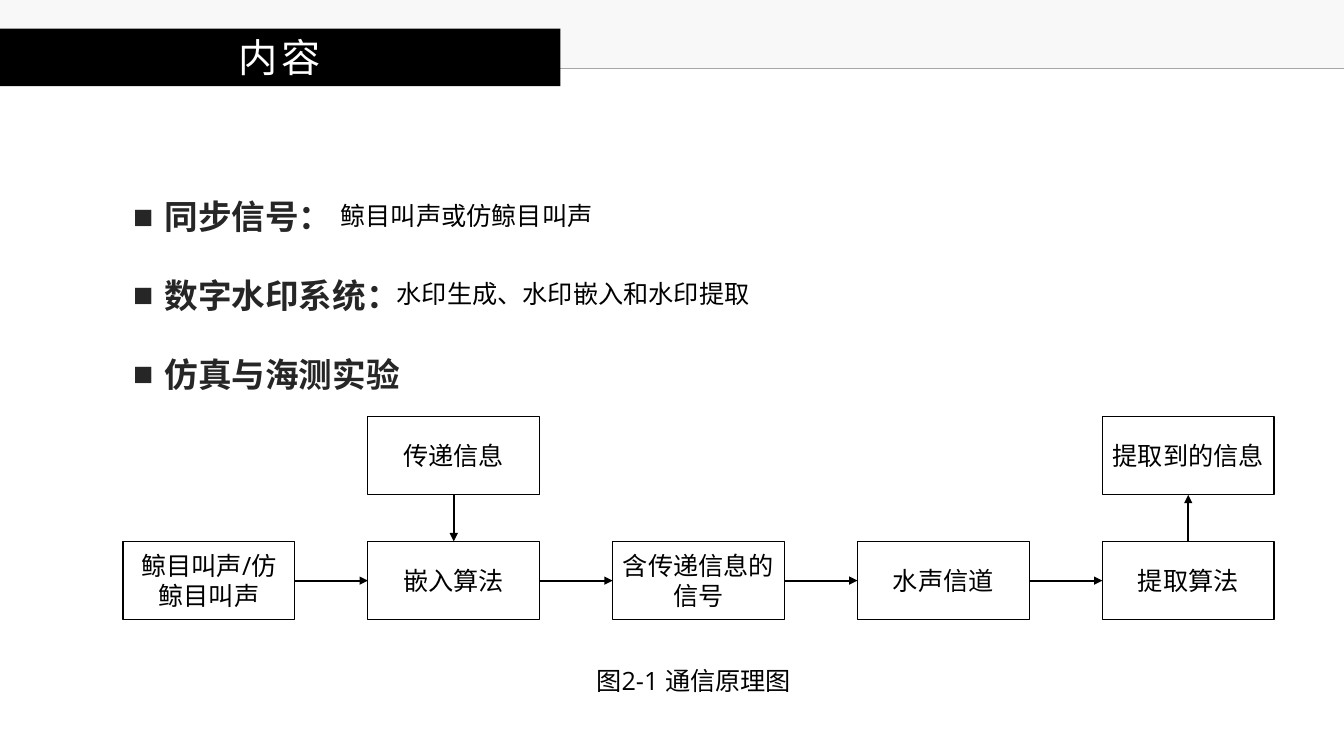
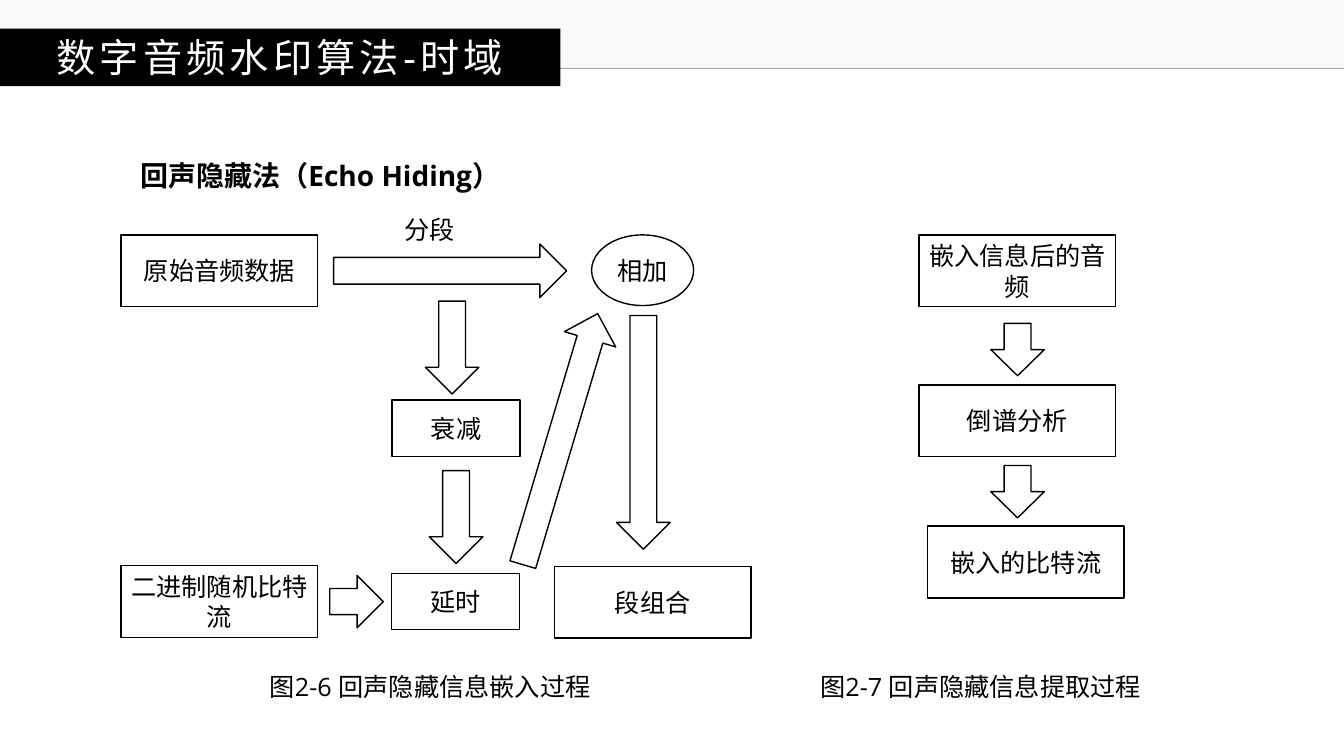
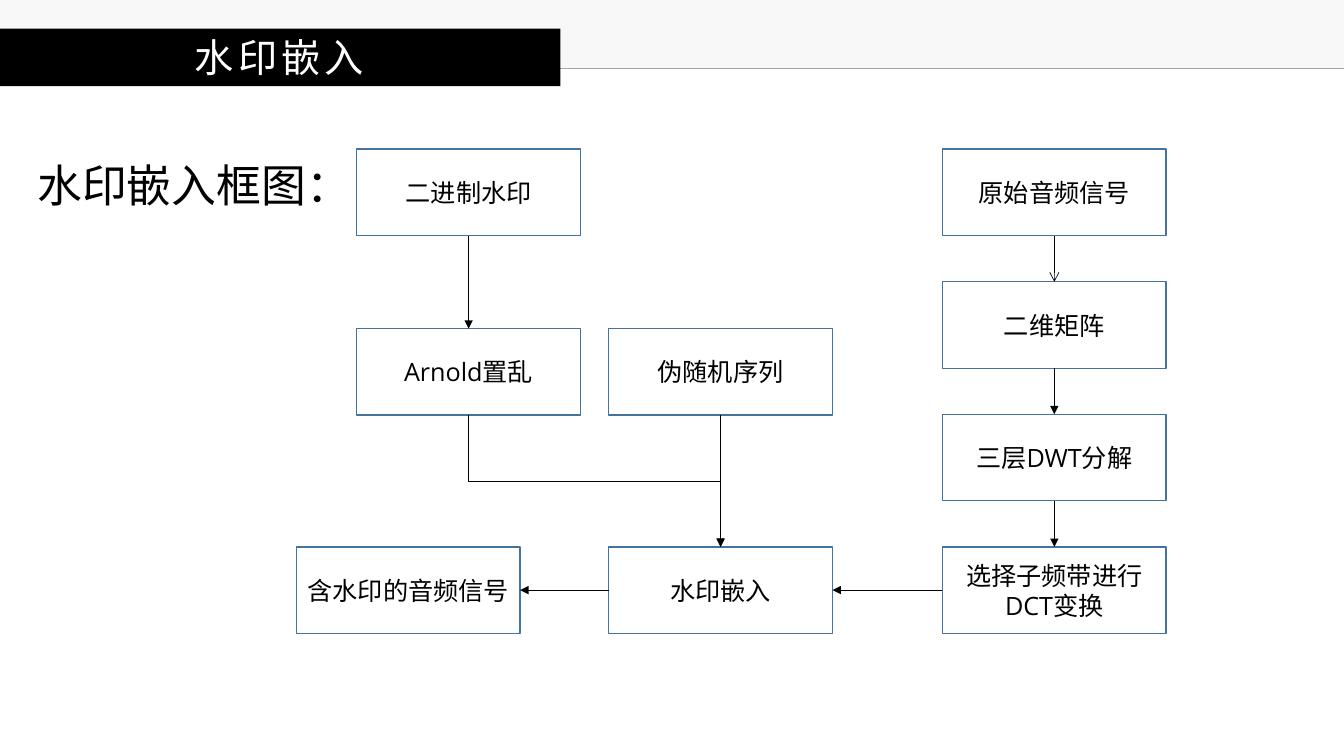
import dataclasses

import lxml.etree
import pptx
import pptx.dml.color
import pptx.enum.shapes
import pptx.enum.text
import pptx.oxml.ns
import pptx.util

Cm = pptx.util.Cm
Pt = pptx.util.Pt
qn = pptx.oxml.ns.qn
SHAPE = pptx.enum.shapes.MSO_SHAPE
CONNECTOR = pptx.enum.shapes.MSO_CONNECTOR
ALIGN = pptx.enum.text.PP_ALIGN
ANCHOR = pptx.enum.text.MSO_ANCHOR

# Connection sites of a rectangle
TOP, LEFT, BOTTOM, RIGHT = range(4)


@dataclasses.dataclass(frozen=True)
class Theme:
    latin: str = "Open Sans"
    east_asian: str = "Noto Sans CJK SC"
    black: str = "000000"
    white: str = "FFFFFF"
    heading: str = "262626"
    band: str = "F2F2F2"
    rule: str = "A6A6A6"
    blue: str = "43739E"
    title_size: int = 28
    lead_size: int = 32
    bullet_size: int = 24
    subtitle_size: int = 20
    text_size: int = 18
    line_height: float = 1.2


THEME = Theme()


def rgb(color):
    return pptx.dml.color.RGBColor.from_string(color)


def write(frame, *paragraphs, size=THEME.text_size, color=THEME.black, bold=False,
          align=ALIGN.LEFT, anchor=ANCHOR.TOP, tracking=0, gap=0, bullet=None):
    """Fill a text frame with paragraphs in one format."""
    frame.word_wrap = True
    frame.auto_size = pptx.enum.text.MSO_AUTO_SIZE.NONE
    frame.vertical_anchor = anchor
    for number, text in enumerate(paragraphs):
        paragraph = frame.add_paragraph() if number else frame.paragraphs[0]
        if bullet:
            properties = paragraph._p.get_or_add_pPr()
            properties.set("marL", str(Cm(0.79)))
            properties.set("indent", str(-Cm(0.79)))
            lxml.etree.SubElement(properties, qn("a:buChar")).set("char", bullet)
        paragraph.alignment = align
        paragraph.line_spacing = Pt(size * THEME.line_height)
        paragraph.space_before = Pt(gap if number else 0)
        run = paragraph.add_run()
        run.text = text
        run.font.size = Pt(size)
        run.font.bold = bold
        run.font.color.rgb = rgb(color)
        run.font.name = THEME.latin
        run_format = run._r.get_or_add_rPr()
        lxml.etree.SubElement(run_format, qn("a:ea")).set("typeface", THEME.east_asian)
        if tracking:
            run_format.set("spc", str(tracking * 100))


class Deck:
    """The presentation, its style and the slide being built."""

    def __init__(self):
        self.presentation = pptx.Presentation()
        self.presentation.slide_width = Cm(33.87)
        self.presentation.slide_height = Cm(19.05)
        self.slide = None

    def start(self, title, layout=5):
        first = self.slide is None
        self.slide = self.presentation.slides.add_slide(
            self.presentation.slide_layouts[layout])
        if first:
            self.add_header_to_master()
        banner = self.slide.shapes.title
        self.place(banner, -0.03, 0.72, 14.15, 1.45)
        banner.fill.solid()
        banner.fill.fore_color.rgb = rgb(THEME.black)
        write(banner.text_frame, title, size=THEME.title_size, color=THEME.white,
              align=ALIGN.CENTER, anchor=ANCHOR.MIDDLE, tracking=3)

    def add_header_to_master(self):
        band = self.box("", 0, 0, 33.87, 1.73, fill=THEME.band, line=None)
        tint = band.element.find(".//" + qn("a:srgbClr"))
        lxml.etree.SubElement(tint, qn("a:alpha")).set("val", "50000")
        rule = self.line(0, 1.73, 33.87, 1.73, color=THEME.rule, width=0.5)
        master_tree = self.presentation.slide_master.shapes.element
        for number, part in enumerate((band, rule)):
            part.element.find(".//" + qn("p:cNvPr")).set("id", str(101 + number))
            master_tree.insert(2 + number, part.element)

    @staticmethod
    def place(shape, left, top, width, height):
        shape.left, shape.top = Cm(left), Cm(top)
        shape.width, shape.height = Cm(width), Cm(height)

    def bullets(self, items, left, top, width, height, **style):
        body = self.slide.placeholders[1]
        self.place(body, left, top, width, height)
        write(body.text_frame, *items, bullet="■", **style)

    def text(self, text, left, top, width, height, **style):
        label = self.slide.shapes.add_textbox(Cm(left), Cm(top), Cm(width), Cm(height))
        write(label.text_frame, text, **style)

    def box(self, text, left, top, width, height, kind=SHAPE.RECTANGLE,
            fill=THEME.white, line=THEME.black, rotation=0):
        shape = self.slide.shapes.add_shape(
            kind, Cm(left), Cm(top), Cm(width), Cm(height))
        shape.shadow.inherit = False
        shape.rotation = rotation
        shape.fill.solid()
        shape.fill.fore_color.rgb = rgb(fill)
        if line:
            shape.line.color.rgb = rgb(line)
            shape.line.width = Pt(1)
        else:
            shape.line.fill.background()
        if text:
            write(shape.text_frame, text, align=ALIGN.CENTER, anchor=ANCHOR.MIDDLE)
        return shape

    def line(self, x1, y1, x2, y2, kind=CONNECTOR.STRAIGHT, color=THEME.black,
             width=1.5, head=None):
        connector = self.slide.shapes.add_connector(
            kind, Cm(x1), Cm(y1), Cm(x2), Cm(y2))
        connector.line.color.rgb = rgb(color)
        connector.line.width = Pt(width)
        if head:
            outline = connector.line._get_or_add_ln()
            lxml.etree.SubElement(outline, qn("a:tailEnd")).set("type", head)
        lxml.etree.SubElement(connector.element.spPr, qn("a:effectLst"))
        return connector

    def link(self, source, source_side, target, target_side, width=1.5, head="triangle"):
        connector = self.line(0, 0, 1, 1, width=width, head=head)
        connector.begin_connect(source, source_side)
        connector.end_connect(target, target_side)

    def elbow_down(self, x1, y1, x2, y2, width):
        """Leave downwards, cross over, and arrive downwards."""
        middle_x, middle_y = (x1 + x2) / 2, (y1 + y2) / 2
        across, down = (x2 - x1) / 2, (y2 - y1) / 2
        connector = self.line(middle_x + down, middle_y - across,
                              middle_x - down, middle_y + across,
                              kind=CONNECTOR.ELBOW, width=width, head="triangle")
        connector.element.spPr.find(qn("a:xfrm")).set("rot", "16200000")


def build_contents(deck):
    deck.start("内容", layout=1)

    # Topics and their details
    deck.bullets(["同步信号：", "数字水印系统：", "仿真与海测实验"], 3.1, 4.82, 7.42, 5.25,
                 size=THEME.bullet_size, color=THEME.heading, bold=True, gap=27.4)
    deck.text("鲸目叫声或仿鲸目叫声", 8.33, 4.93, 9.98, 1.02)
    deck.text("水印生成、水印嵌入和水印提取", 9.75, 6.88, 9.98, 1.02)

    # Communication chain
    left, pitch, width, height = 3.1, 6.17, 4.33, 1.98
    upper, lower = 10.49, 13.64
    stages = ["鲸目叫声/仿鲸目叫声", "嵌入算法", "含传递信息的信号", "水声信道", "提取算法"]
    chain = [deck.box(stage, left + i * pitch, lower, width, height)
             for i, stage in enumerate(stages)]
    message = deck.box("传递信息", left + pitch, upper, width, height)
    extracted = deck.box("提取到的信息", left + 4 * pitch, upper, width, height)
    for source, target in zip(chain, chain[1:]):
        deck.link(source, RIGHT, target, LEFT)
    deck.link(message, BOTTOM, chain[1], TOP)
    deck.link(chain[-1], TOP, extracted, BOTTOM)
    deck.text("图2-1 通信原理图", 14.78, 16.63, 5.59, 1.02)


def build_echo_hiding(deck):
    deck.start("数字音频水印算法-时域")
    deck.text("回声隐藏法（Echo Hiding）", 3.28, 3.86, 17.15, 1.12,
              size=THEME.subtitle_size, bold=True)

    # Block arrows of both processes
    thick, short, medium = 1.35, 1.32, 2.34
    block_arrows = [
        (SHAPE.RIGHT_ARROW, 8.41, 6.15, 5.87, thick, 0),
        (SHAPE.DOWN_ARROW, 10.72, 7.59, thick, medium, 0),
        (SHAPE.DOWN_ARROW, 10.82, 11.86, thick, medium, 0),
        (SHAPE.RIGHT_ARROW, 8.31, 14.5, thick, short, 0),
        (SHAPE.RIGHT_ARROW, 10.82, 10.39, 6.6, thick, 286.6),
        (SHAPE.DOWN_ARROW, 15.54, 7.95, thick, 5.89, 0),
        (SHAPE.DOWN_ARROW, 24.97, 8.15, thick, short, 0),
        (SHAPE.DOWN_ARROW, 24.97, 11.73, thick, short, 0),
    ]
    for kind, left, top, width, height, rotation in block_arrows:
        deck.box("", left, top, width, height, kind=kind, rotation=rotation)

    # Steps of embedding, then of extraction
    large, small = (4.96, 1.81), (3.23, 1.42)
    steps = [
        ("原始音频数据", 3.05, 5.92, large),
        ("衰减", 9.88, 10.08, small),
        ("延时", 9.86, 14.45, small),
        ("二进制随机比特流", 3.05, 14.25, large),
        ("段组合", 13.97, 14.27, large),
        ("嵌入信息后的音频", 23.16, 5.92, large),
        ("倒谱分析", 23.16, 9.7, large),
        ("嵌入的比特流", 23.37, 13.26, large),
    ]
    for step, left, top, size in steps:
        deck.box(step, left, top, *size)
    deck.box("相加", 14.91, 5.92, 2.57, 1.78, kind=SHAPE.FLOWCHART_CONNECTOR)
    deck.box("分段", 9.45, 5.23, 2.74, 1.12, line=THEME.white)

    # Captions
    deck.text("图2-6 回声隐藏信息嵌入过程", 6.55, 16.8, 9.6, 1.02)
    deck.text("图2-7 回声隐藏信息提取过程", 20.42, 16.8, 10.62, 1.02)


def build_embedding(deck):
    deck.start("水印嵌入")
    deck.text("水印嵌入框图：", 0.69, 3.84, 8, 1.63, size=THEME.lead_size)

    width, height, thin = 5.64, 2.18, 0.5
    first_row, middle_row, last_row = 3.76, 8.28, 13.78
    scramble_left, embed_left, audio_left = 8.99, 15.34, 23.75

    def step(text, left, top):
        return deck.box(text, left, top, width, height, line=THEME.blue)

    # Watermark preparation and embedding
    watermark = step("二进制水印", scramble_left, first_row)
    scramble = step("Arnold置乱", scramble_left, middle_row)
    sequence = step("伪随机序列", embed_left, middle_row)
    embedding = step("水印嵌入", embed_left, last_row)
    marked_audio = step("含水印的音频信号", 7.47, last_row)

    # Audio decomposition
    audio_steps = ["原始音频信号", "二维矩阵", "三层DWT分解", "选择子频带进行DCT变换"]
    audio = [step(text, audio_left, first_row + i * 3.34)
             for i, text in enumerate(audio_steps)]

    # Flow
    heads = ["arrow", "triangle", "triangle"]
    for source, target, head in zip(audio, audio[1:], heads):
        deck.link(source, BOTTOM, target, TOP, width=thin, head=head)
    deck.link(watermark, BOTTOM, scramble, TOP, width=thin)
    deck.link(sequence, BOTTOM, embedding, TOP, width=thin)
    deck.link(audio[-1], LEFT, embedding, RIGHT, width=thin)
    deck.link(embedding, LEFT, marked_audio, RIGHT, width=thin)
    deck.elbow_down(scramble_left + width / 2, middle_row + height,
                    embed_left + width / 2, last_row, width=thin)


def main():
    deck = Deck()
    build_contents(deck)
    build_echo_hiding(deck)
    build_embedding(deck)
    deck.presentation.save("out.pptx")


if __name__ == "__main__":
    main()
